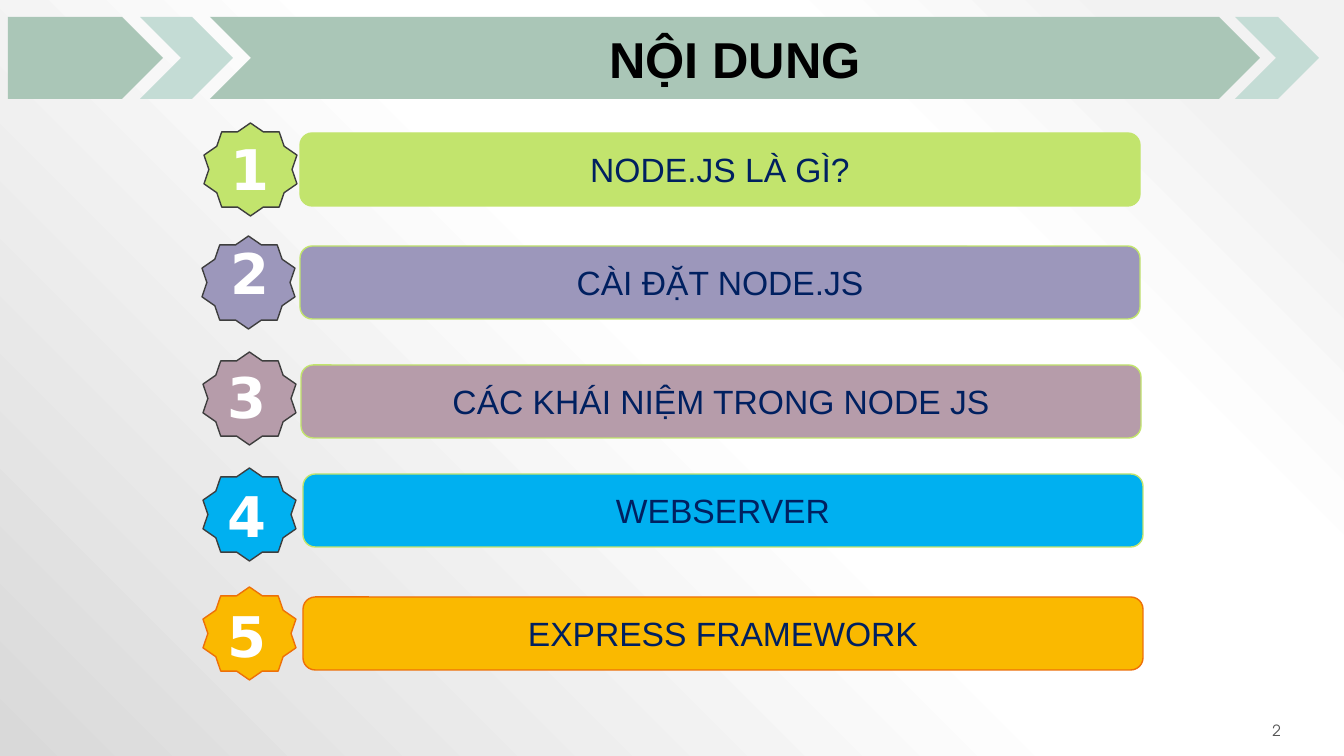
from dataclasses import dataclass

from pptx import Presentation
from pptx.dml.color import RGBColor
from pptx.enum.shapes import MSO_SHAPE
from pptx.enum.text import MSO_ANCHOR, MSO_AUTO_SIZE, PP_ALIGN
from pptx.oxml import parse_xml
from pptx.oxml.ns import nsdecls
from pptx.util import Emu, Pt

PX = 914400 / 100.8


@dataclass(frozen=True)
class Theme:
    banner: str = "AAC6B7"
    banner_light: str = "C4DCD5"
    lime: str = "C2E46D"
    violet: str = "9C97BB"
    mauve: str = "B69CAA"
    blue: str = "00B0F0"
    amber: str = "FAB900"
    orange: str = "EE7008"
    charcoal: str = "3E3E3E"
    black: str = "000000"
    navy: str = "002060"
    white: str = "FFFFFF"
    gray: str = "545454"
    font: str = "Arial"
    digit_font: str = "DejaVu Sans"
    page_font: str = "TeX Gyre Adventor"
    title_size: int = 36
    digit_size: int = 40
    item_size: int = 24
    page_size: int = 11
    background: tuple = ((10, "F2F2F2"), (28, "FFFFFF"), (48, "FFFFFF"), (100, "D9D9D9"))


theme = Theme()


def write(shape, text, *, size, color, font=theme.font, bold=False,
          align=PP_ALIGN.CENTER, anchor=MSO_ANCHOR.MIDDLE):
    frame = shape.text_frame
    frame.word_wrap = True
    frame.auto_size = MSO_AUTO_SIZE.NONE
    frame.vertical_anchor = anchor
    paragraph = frame.paragraphs[0]
    paragraph.alignment = align
    run = paragraph.add_run()
    run.text = text
    run.font.name = font
    run.font.size = Pt(size)
    run.font.bold = bold
    run.font.color.rgb = RGBColor.from_string(color)


def add_preset(kind, box, fill, line=None):
    """Add a shadowless preset shape; box is left, top, width, height in px."""
    shape = slide.shapes.add_shape(kind, *(Emu(round(n * PX)) for n in box))
    shape.shadow.inherit = False
    shape.fill.solid()
    shape.fill.fore_color.rgb = RGBColor.from_string(fill)
    if line:
        shape.line.color.rgb = RGBColor.from_string(line)
        shape.line.width = Pt(1)
    else:
        shape.line.fill.background()
    return shape


presentation = Presentation()
presentation.slide_width = Emu(round(1344 * PX))
presentation.slide_height = Emu(round(756 * PX))
slide = presentation.slides.add_slide(presentation.slide_layouts[5])

# Radial background centred on the top right corner
stops = "".join(
    f'<a:gs pos="{position * 1000}"><a:srgbClr val="{color}"/></a:gs>'
    for position, color in theme.background
)
slide.element.cSld.insert(0, parse_xml(
    f'<p:bg {nsdecls("p", "a")}><p:bgPr><a:gradFill rotWithShape="1">'
    f'<a:gsLst>{stops}</a:gsLst><a:path path="circle">'
    '<a:fillToRect l="100000" b="100000"/></a:path></a:gradFill>'
    '<a:effectLst/></p:bgPr></p:bg>'
))

# Banner of arrows with the title on the long one
banner_top, banner_height = 17, 82
title_left, title_width = 210, 1050
for kind, left, width, color in (
    (MSO_SHAPE.CHEVRON, title_left, title_width, theme.banner),
    (MSO_SHAPE.PENTAGON, 8, 155, theme.banner),
    (MSO_SHAPE.CHEVRON, 1235, 84, theme.banner_light),
    (MSO_SHAPE.CHEVRON, 140, 93, theme.banner_light),
):
    add_preset(kind, (left, banner_top, width, banner_height), color)

title = slide.shapes.title
title.left, title.top, title.width, title.height = (
    Emu(round(n * PX)) for n in (title_left, banner_top, title_width, banner_height)
)
write(title, "NỘI DUNG", size=theme.title_size, color=theme.black, bold=True)
slide.shapes._spTree.append(title.element)  # bring the title in front of the banner

# Agenda rows: text, fill, bar line, star line, then bar, star and digit corners
agenda = (
    ("NODE.JS LÀ GÌ?", theme.lime, theme.lime, theme.charcoal,
     (300, 133), (204, 123), (221, 130)),
    ("CÀI ĐẶT NODE.JS", theme.violet, theme.lime, theme.charcoal,
     (300, 246), (202, 236), (221, 234)),
    ("CÁC KHÁI NIỆM TRONG NODE JS", theme.mauve, theme.lime, theme.charcoal,
     (301, 365), (203, 352), (218, 358)),
    ("WEBSERVER", theme.blue, theme.lime, theme.charcoal,
     (303, 474), (203, 468), (218, 477)),
    ("EXPRESS FRAMEWORK", theme.amber, theme.orange, theme.orange,
     (303, 597), (203, 587), (218, 597)),
)
for number, (text, fill, bar_line, star_line, bar_at, star_at, digit_at) in enumerate(agenda, 1):
    bar = add_preset(MSO_SHAPE.ROUNDED_RECTANGLE, (*bar_at, 840, 73), fill, bar_line)
    write(bar, text, size=theme.item_size, color=theme.navy)
    add_preset(MSO_SHAPE.STAR_10_POINT, (*star_at, 93, 93), fill, star_line)
    digit = slide.shapes.add_textbox(*(Emu(round(n * PX)) for n in (*digit_at, 64, 78)))
    write(digit, str(number), size=theme.digit_size, color=theme.white,
          font=theme.digit_font, bold=True, align=PP_ALIGN.LEFT, anchor=MSO_ANCHOR.TOP)

page_number = slide.shapes.add_textbox(*(Emu(round(n * PX)) for n in (1165, 720, 126, 20)))
write(page_number, "2", size=theme.page_size, color=theme.gray,
      font=theme.page_font, align=PP_ALIGN.RIGHT)

presentation.save("out.pptx")
